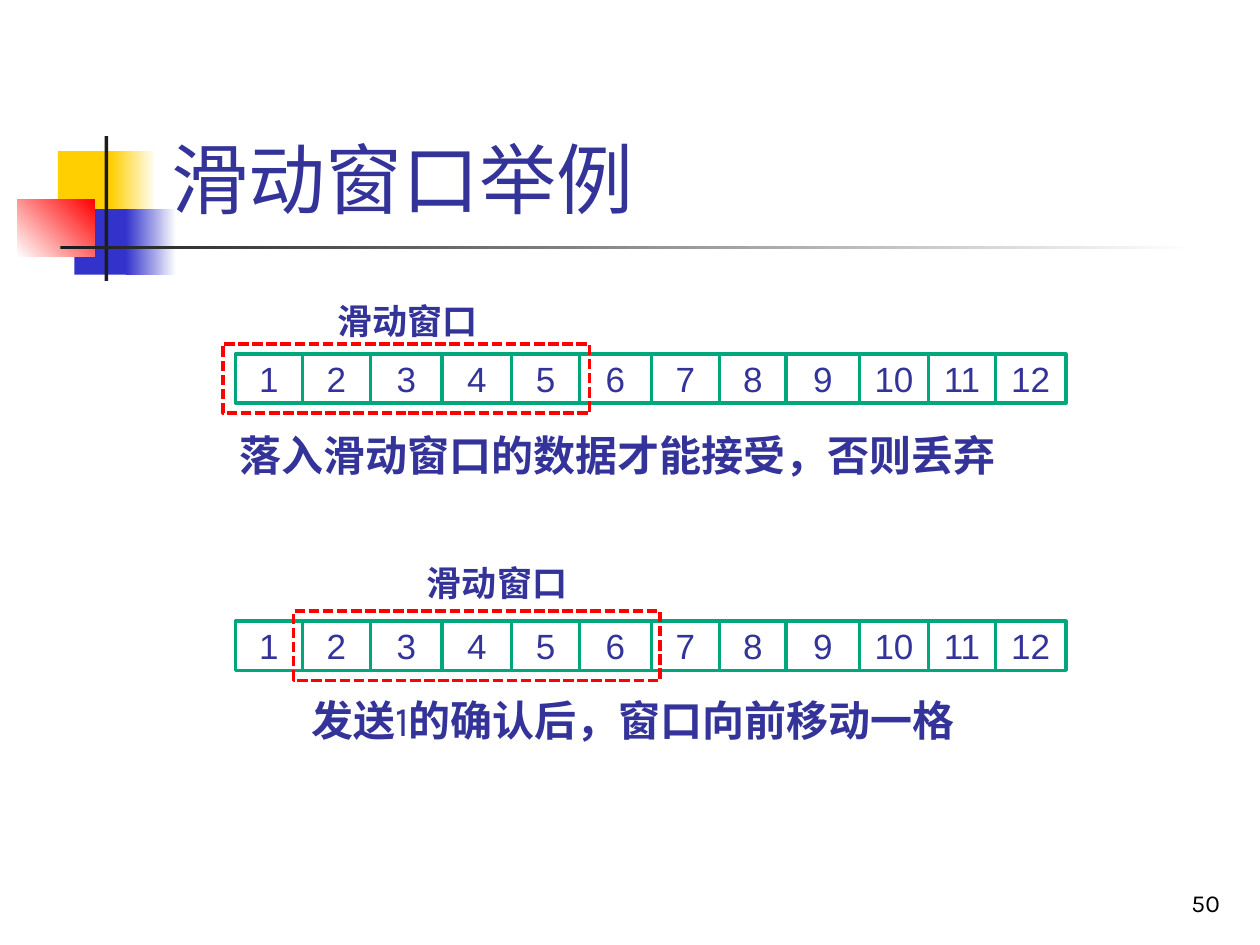
import dataclasses
import itertools

import pptx
import pptx.dml.color
import pptx.enum.dml
import pptx.enum.shapes
import pptx.enum.text
import pptx.util
from pptx.util import Inches


@dataclasses.dataclass(frozen=True)
class Theme:
    ink: str = "333399"
    black: str = "000000"
    white: str = "FFFFFF"
    bar: str = "1C1C1C"
    yellow: str = "FFCF01"
    blue: str = "3333CC"
    red: str = "FF0000"
    cell: str = "00A77A"
    heading_font: str = "Arial"
    body_font: str = "Karla"
    title_size: int = 44
    caption_size: int = 24
    label_size: int = 20
    number_size: int = 14
    line_width: int = 2


THEME = Theme()
ALIGN = pptx.enum.text.PP_ALIGN
ANCHOR = pptx.enum.text.MSO_ANCHOR
CELL_EDGES = [1.87, 2.4, 2.94, 3.51, 4.06, 4.6, 5.17, 5.71, 6.24, 6.82, 7.37, 7.9, 8.46]


def color(value):
    return pptx.dml.color.RGBColor.from_string(value)


def write_text(shape, text, size, font=THEME.body_font, ink=THEME.ink, bold=False,
               align=ALIGN.LEFT, anchor=ANCHOR.TOP, wrap=True):
    frame = shape.text_frame
    frame.word_wrap = wrap
    frame.vertical_anchor = anchor
    if not wrap:
        frame.auto_size = pptx.enum.text.MSO_AUTO_SIZE.SHAPE_TO_FIT_TEXT
    paragraph = frame.paragraphs[0]
    paragraph.alignment = align
    parts = [(text, bold)] if isinstance(text, str) else text
    for content, is_bold in parts:
        run = paragraph.add_run()
        run.text = content
        run.font.name = font
        run.font.size = pptx.util.Pt(size)
        run.font.bold = is_bold
        run.font.color.rgb = color(ink)


def add_text(shapes, box, text, size, **text_format):
    shape = shapes.add_textbox(*map(Inches, box))
    write_text(shape, text, size, **text_format)


def add_rectangle(shapes, box):
    shape = shapes.add_shape(pptx.enum.shapes.MSO_SHAPE.RECTANGLE, *map(Inches, box))
    shape.shadow.inherit = False
    return shape


def add_block(shapes, box, start, end=None, angle=0):
    shape = add_rectangle(shapes, box)
    shape.line.fill.background()
    if end is None:
        shape.fill.solid()
        shape.fill.fore_color.rgb = color(start)
        return
    shape.fill.gradient()
    shape.fill.gradient_angle = angle
    for stop, position, value in zip(shape.fill.gradient_stops, (0, 1), (start, end)):
        stop.position = position
        stop.color.rgb = color(value)


def add_outline(shapes, box, line_color):
    shape = add_rectangle(shapes, box)
    shape.fill.background()
    shape.line.color.rgb = color(line_color)
    shape.line.width = pptx.util.Pt(THEME.line_width)
    return shape


def add_decoration(shapes):
    add_block(shapes, (0.46, 1.2, 0.48, 0.52), THEME.yellow)
    add_block(shapes, (0.88, 1.2, 0.36, 0.52), THEME.yellow, THEME.white)
    add_block(shapes, (0.59, 1.66, 0.46, 0.52), THEME.blue)
    add_block(shapes, (1, 1.66, 0.4, 0.52), THEME.blue, THEME.white)
    add_block(shapes, (0.14, 1.58, 0.61, 0.46), THEME.white, THEME.red, angle=45)
    add_block(shapes, (0.83, 1.08, 0.03, 1.15), THEME.bar)
    add_block(shapes, (0.48, 1.95, 9, 0.03), THEME.bar, THEME.white)


def add_window_row(slide, top, window_left, label_box, caption_box, caption):
    shapes = slide.shapes.add_group_shape().shapes
    for number, (left, right) in enumerate(itertools.pairwise(CELL_EDGES), start=1):
        cell = add_outline(shapes, (left, top, right - left, 0.39), THEME.cell)
        write_text(cell, str(number), THEME.label_size, font=THEME.heading_font,
                   align=ALIGN.CENTER, anchor=ANCHOR.MIDDLE)
    window = add_outline(shapes, (window_left, top - 0.08, 2.91, 0.55), THEME.red)
    window.line.dash_style = pptx.enum.dml.MSO_LINE.SQUARE_DOT
    add_text(shapes, label_box, "滑动窗口", THEME.label_size, bold=True, wrap=False)
    add_text(shapes, caption_box, caption, THEME.caption_size, bold=True, wrap=False)


def main():
    presentation = pptx.Presentation()
    presentation.slide_width = Inches(10)
    presentation.slide_height = Inches(7.5)
    slide = presentation.slides.add_slide(presentation.slide_layouts[6])

    add_decoration(slide.shapes)
    add_text(slide.shapes, (1.26, 0.23, 8.52, 1.6), "滑动窗口举例", THEME.title_size,
             font=THEME.heading_font, anchor=ANCHOR.BOTTOM)
    add_text(slide.shapes, (7.7, 6.83, 2.08, 0.5), "50", THEME.number_size,
             ink=THEME.black, align=ALIGN.RIGHT, anchor=ANCHOR.BOTTOM)
    add_window_row(slide, 2.81, 1.77, (2.58, 2.33, 1.31, 0.44), (1.8, 3.36, 6.2, 0.5),
                   "落入滑动窗口的数据才能接受，否则丢弃")
    add_window_row(slide, 4.93, 2.33, (3.29, 4.41, 1.31, 0.44), (2.37, 5.46, 5.55, 0.5),
                   [("发送", True), ("1", False), ("的确认后，窗口向前移动一格", True)])

    presentation.save("out.pptx")


if __name__ == "__main__":
    main()
